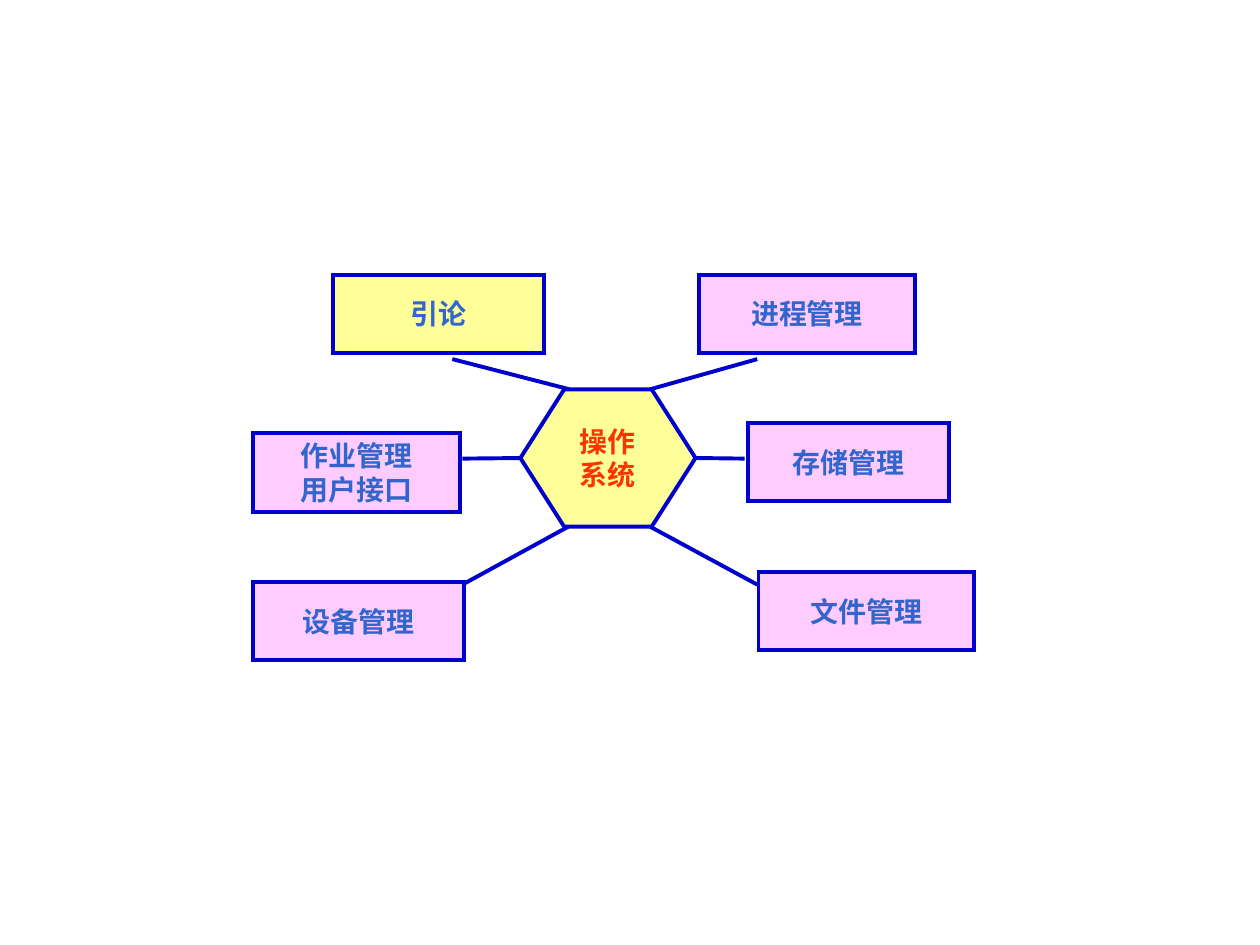
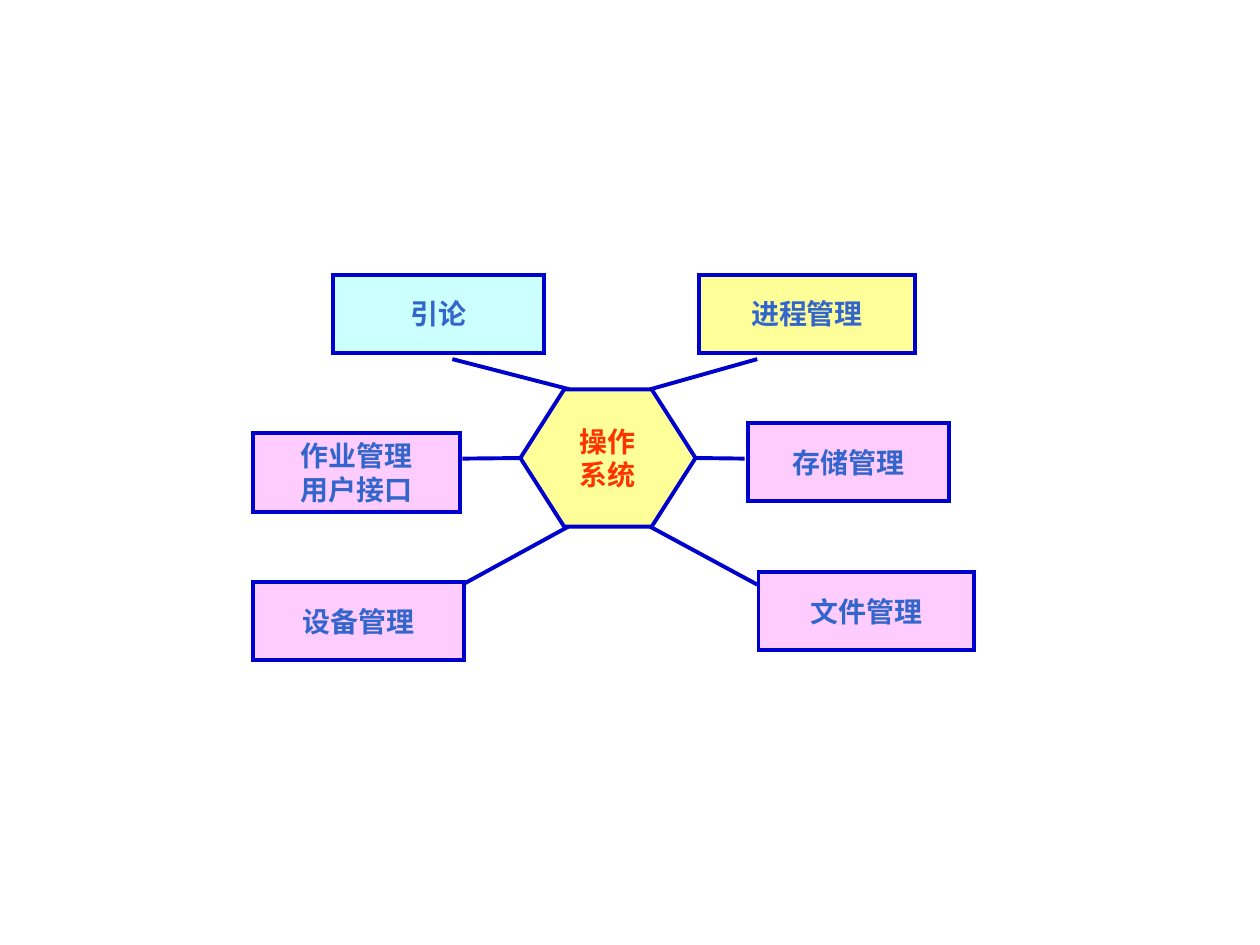
from dataclasses import dataclass

from lxml import etree
from pptx import Presentation
from pptx import util as u
from pptx.dml.color import RGBColor
from pptx.enum import shapes, text
from pptx.oxml.ns import qn

# Content: label lines, row, side, box left and width, spoke x (outer, hub)
TOPICS = [
    (["引论"], 0, "left", 2.64, 1.68, (3.59, 4.52)),
    (["进程管理"], 0, "right", 5.55, 1.71, (6.01, 5.16)),
    (["设备管理"], 2, "left", 2.01, 1.67, (3.67, 4.51)),
    (["作业管理", "用户接口"], 1, "left", 2.01, 1.64, (3.67, 4.18)),
    (["存储管理"], 1, "right", 5.94, 1.59, (5.91, 5.5)),
    (["文件管理"], 2, "right", 6.02, 1.71, (6.01, 5.16)),
]
CORE = ["操作", "系统"]
STEPS = [0, 1]  # index of the current topic on each slide


@dataclass(frozen=True)
class Theme:
    edge: str = "0000CC"
    now: str = "FFFF99"
    done: str = "CCFFFF"
    next: str = "FFCCFF"
    label: str = "3366CC"
    core: str = "FF3300"
    font: str = "Arial"
    size: float = 16
    line: float = 2.25


T = Theme()

# Grid, in inches
WIDE, HIGH = 10, 7.5
TOP, PITCH, TALL = 2.18, 1.18, 0.62
DROP = 0.08  # lower left boxes sit slightly below the right ones
HUB = (4.13, 3.09, 1.39, 1.09)
SLANT = 0.319
OUTER = (2.85, 3.64, 4.64)  # spoke end heights by row


def stroke(line):
    line.color.rgb = RGBColor.from_string(T.edge)
    line.width = u.Pt(T.line)


def draw(slide, kind, at, fill, lines, color):
    """Add one outlined shape with centred bold text."""
    box = slide.shapes.add_shape(kind, *map(u.Inches, at))
    box.shadow.inherit = False
    box.fill.solid()
    box.fill.fore_color.rgb = RGBColor.from_string(fill)
    stroke(box.line)
    edge = box.element.spPr.find(qn("a:ln"))
    etree.SubElement(edge, qn("a:miter"), lim="800000")

    frame = box.text_frame
    frame.word_wrap = False
    frame.vertical_anchor = text.MSO_ANCHOR.MIDDLE
    for i, words in enumerate(lines):
        para = frame.add_paragraph() if i else frame.paragraphs[0]
        para.alignment = text.PP_ALIGN.CENTER
        run = para.add_run()
        run.text = words
        font = run.font
        font.name, font.size, font.bold = T.font, u.Pt(T.size), True
        font.color.rgb = RGBColor.from_string(color)
    return box


def spoke(slide, row, ends):
    """Join a topic to the hub corner in the same row."""
    outer, inner = ends
    meet = HUB[1] + HUB[3] * row / 2
    wire = slide.shapes.add_connector(
        shapes.MSO_CONNECTOR.STRAIGHT,
        *map(u.Inches, (outer, OUTER[row], inner, meet)))
    stroke(wire.line)
    etree.SubElement(wire.element.spPr, qn("a:effectLst"))


def build(deck, step):
    slide = deck.slides.add_slide(deck.slide_layouts[6])

    # Spokes lie behind the hub and boxes
    for _, row, _, _, _, ends in TOPICS:
        spoke(slide, row, ends)

    # Hub
    hub = draw(slide, shapes.MSO_SHAPE.HEXAGON, HUB, T.now, CORE, T.core)
    hub.adjustments[0] = SLANT

    # Topics, coloured by progress
    for i, (lines, row, side, left, width, _) in enumerate(TOPICS):
        fill = T.done if i < step else T.now if i == step else T.next
        top = TOP + row * PITCH + (DROP if row and side == "left" else 0)
        draw(slide, shapes.MSO_SHAPE.RECTANGLE, (left, top, width, TALL),
             fill, lines, T.label)


def main():
    deck = Presentation()
    deck.slide_width, deck.slide_height = u.Inches(WIDE), u.Inches(HIGH)
    for step in STEPS:
        build(deck, step)
    deck.save("out.pptx")


if __name__ == "__main__":
    main()
